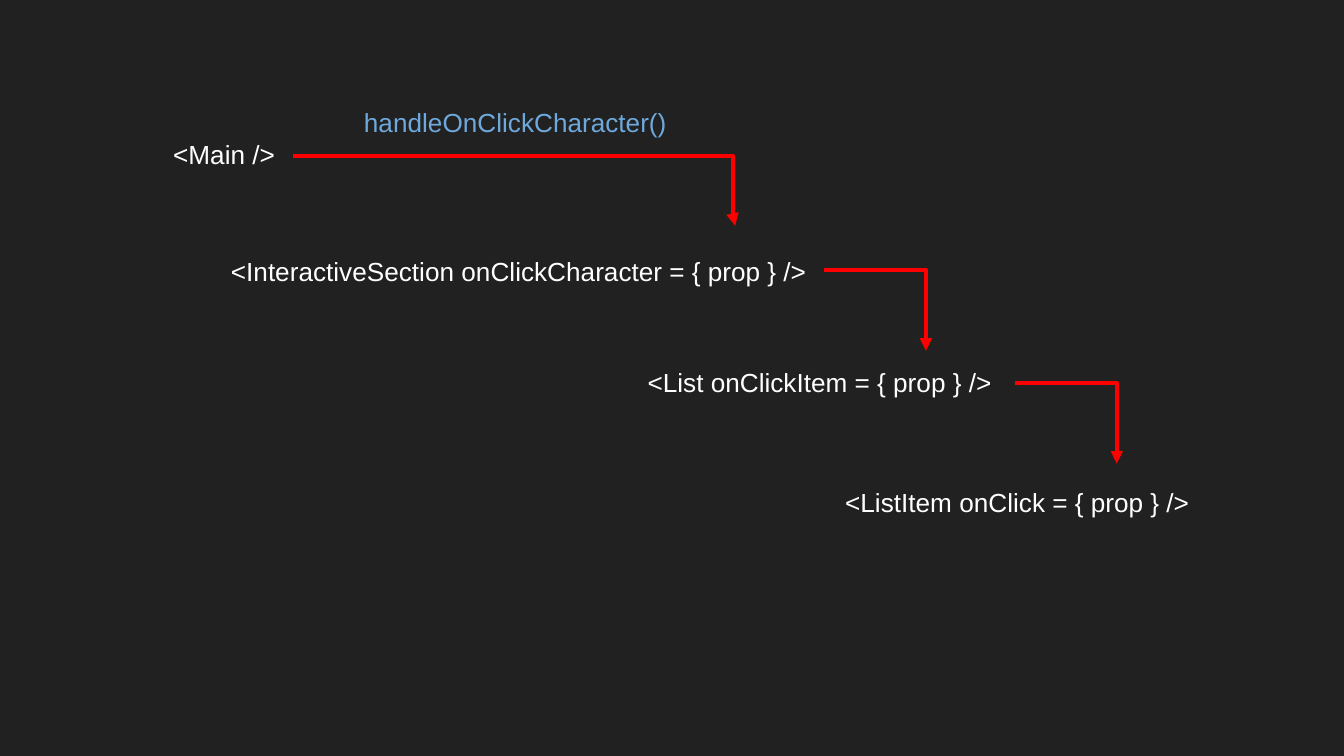
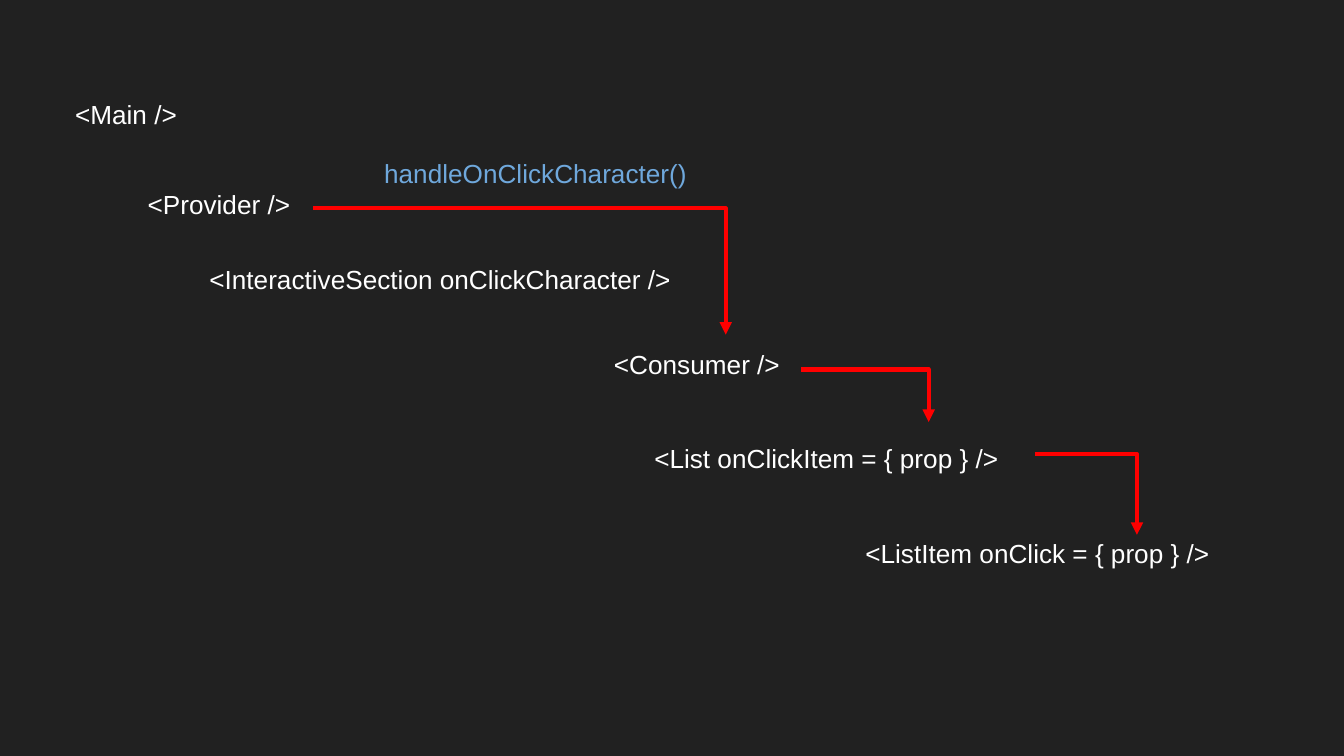
from lxml import etree
from pptx import Presentation
from pptx.dml.color import RGBColor
from pptx.enum import shapes
from pptx.oxml import ns
from pptx.util import Inches, Pt

BACKGROUND, WHITE, BLUE, RED = "212121", "FFFFFF", "6FA8DC", "FF0000"
HANDLER = "handleOnClickCharacter()"
LABEL_HEIGHT = 0.56

# Labels: text, left, top, width. Arrows: start x, start y, width, height, bend.
# The bend is the percentage of the width before the turn; None means a single corner.
FLOWS = [
    {
        "labels": [
            ("<Main />", 1.19, 0.93, 1.12),
            ("<InteractiveSection onClickCharacter = { prop } />", 1.62, 1.8, 4.77),
            ("<List onClickItem = { prop } />", 4.72, 2.63, 4.77),
            ("<ListItem onClick = { prop } />", 6.19, 3.52, 2.82),
            (HANDLER, 2.61, 0.69, 4.77),
        ],
        "arrows": [
            (2.18, 1.16, 3.29, 0.52, 99.5),
            (6.13, 2.01, 0.76, 0.6, 100),
            (7.55, 2.85, 0.76, 0.6, 100),
        ],
    },
    {
        "labels": [
            ("<Main />", 0.46, 0.63, 1.12),
            ("<InteractiveSection onClickCharacter />", 1.46, 1.86, 4.77),
            ("<List onClickItem = { prop } />", 4.77, 3.19, 2.87),
            ("<ListItem onClick = { prop } />", 6.34, 3.9, 2.82),
            (HANDLER, 2.76, 1.07, 4.77),
            ("<Provider />", 1, 1.3, 1.58),
            ("<Consumer />", 4.47, 2.49, 1.87),
        ],
        "arrows": [
            (2.33, 1.55, 3.07, 0.94, None),
            (5.96, 2.75, 0.95, 0.39, 100),
            (7.7, 3.38, 0.76, 0.6, 100),
        ],
    },
]


def paint(color_format, color):
    color_format.rgb = RGBColor.from_string(color)


def add_arrow(page, left, top, width, height, bend):
    """Draw a red elbow arrow that runs right and then down."""
    arrow = page.shapes.add_connector(
        shapes.MSO_CONNECTOR.ELBOW, Inches(left), Inches(top),
        Inches(left + width), Inches(top + height))
    arrow.line.width = Pt(2.25)
    paint(arrow.line.color, RED)

    properties = arrow.element.spPr
    geometry = properties.find(ns.qn("a:prstGeom"))
    if bend is None:
        geometry.set("prst", "bentConnector2")
    else:
        guide = etree.SubElement(geometry.find(ns.qn("a:avLst")), ns.qn("a:gd"))
        guide.set("name", "adj1")
        guide.set("fmla", f"val {round(bend * 1000)}")
    head = etree.SubElement(properties.find(ns.qn("a:ln")), ns.qn("a:tailEnd"))
    head.set("type", "triangle")
    etree.SubElement(properties, ns.qn("a:effectLst"))


deck = Presentation()
deck.slide_width = Inches(10)
deck.slide_height = deck.slide_width * 9 // 16

for flow in FLOWS:
    page = deck.slides.add_slide(deck.slide_layouts[6])
    backdrop = page.background.fill
    backdrop.solid()
    paint(backdrop.fore_color, BACKGROUND)

    for label, left, top, width in flow["labels"]:
        box = page.shapes.add_textbox(
            Inches(left), Inches(top), Inches(width), Inches(LABEL_HEIGHT))
        frame = box.text_frame
        frame.text = label
        frame.word_wrap = True
        frame.margin_left = frame.margin_right = Inches(0.1)
        frame.margin_top = frame.margin_bottom = Inches(0.1)
        font = frame.paragraphs[0].runs[0].font
        font.name, font.size = "Arial", Pt(14)
        paint(font.color, BLUE if label == HANDLER else WHITE)

    for arrow in flow["arrows"]:
        add_arrow(page, *arrow)

deck.save("out.pptx")
